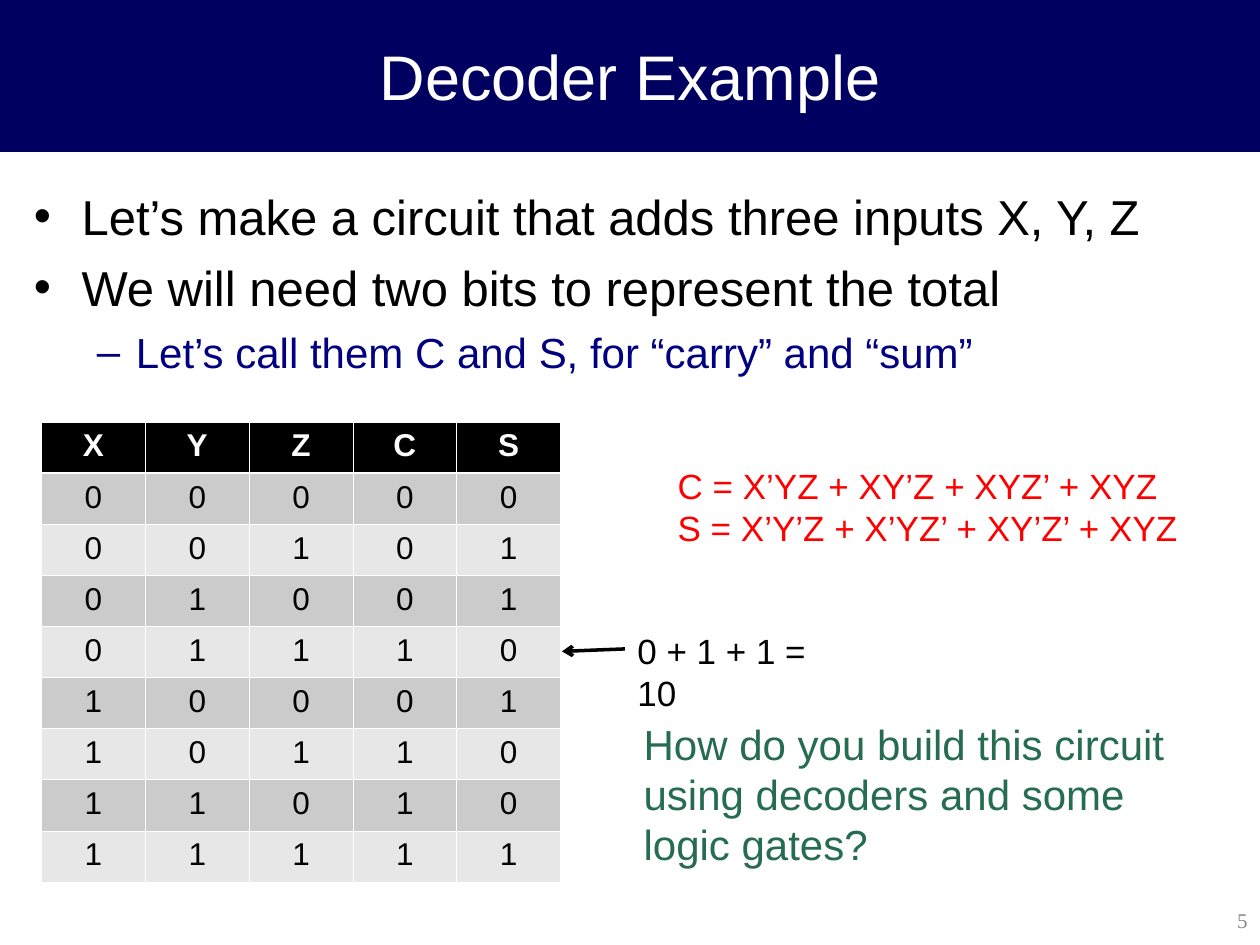
from lxml import etree
from pptx import Presentation
from pptx.dml.color import RGBColor
from pptx.enum.shapes import MSO_CONNECTOR, MSO_SHAPE
from pptx.enum.text import MSO_ANCHOR, MSO_AUTO_SIZE, PP_ALIGN
from pptx.oxml.ns import qn
from pptx.util import Inches, Pt

RECTANGLE, STRAIGHT = MSO_SHAPE.RECTANGLE, MSO_CONNECTOR.STRAIGHT
LEFT, CENTER, RIGHT = PP_ALIGN.LEFT, PP_ALIGN.CENTER, PP_ALIGN.RIGHT
TOP, MIDDLE = MSO_ANCHOR.TOP, MSO_ANCHOR.MIDDLE
FIT_SHAPE, NO_FIT = MSO_AUTO_SIZE.SHAPE_TO_FIT_TEXT, MSO_AUTO_SIZE.NONE

BAND_BLUE = RGBColor(0x00, 0x00, 0x60)
NAVY = RGBColor(0x00, 0x00, 0x80)
BLACK = RGBColor(0x00, 0x00, 0x00)
WHITE = RGBColor(0xFF, 0xFF, 0xFF)
RED = RGBColor(0xFF, 0x00, 0x00)
GREEN = RGBColor(0x26, 0x6C, 0x50)
GRAY = RGBColor(0x89, 0x89, 0x89)
DARK_ROW = RGBColor(0xCB, 0xCB, 0xCB)
LIGHT_ROW = RGBColor(0xE7, 0xE7, 0xE7)

presentation = Presentation()
presentation.slide_width = Inches(10)
presentation.slide_height = Inches(7.5)
slide = presentation.slides.add_slide(presentation.slide_layouts[5])
BAND_HEIGHT = int(presentation.slide_height * 0.16)


def format_paragraph(paragraph, size, color, align=LEFT, name="Arial", bold=False):
    paragraph.alignment = align
    font_values = {"size": Pt(size), "name": name, "bold": bold}
    for attribute, value in font_values.items():
        setattr(paragraph.font, attribute, value)
    paragraph.font.color.rgb = color


def add_text(shapes, box, lines, size, color, wrap=True, fit=FIT_SHAPE,
             anchor=TOP, **paragraph_format):
    frame = shapes.add_textbox(*map(Inches, box)).text_frame
    frame.text = "\n".join(lines)
    frame_values = {"word_wrap": wrap, "auto_size": fit, "vertical_anchor": anchor}
    for attribute, value in frame_values.items():
        setattr(frame, attribute, value)
    for paragraph in frame.paragraphs:
        format_paragraph(paragraph, size, color, **paragraph_format)
    return frame


# Title on its band
title = slide.shapes.title
band = slide.shapes.add_shape(RECTANGLE, 0, 0, presentation.slide_width, BAND_HEIGHT)
band.shadow.inherit = False
band.fill.solid()
band.fill.fore_color.rgb = BAND_BLUE
band.line.color.rgb = BAND_BLUE
band.line.width = Pt(0.75)
title._element.addprevious(band._element)

title.left, title.top = 0, 0
title.width, title.height = presentation.slide_width, BAND_HEIGHT
title.text_frame.text = "Decoder Example"
title.text_frame.vertical_anchor = MIDDLE
format_paragraph(title.text_frame.paragraphs[0], 36, WHITE, CENTER)

# Bulleted points: text, level, bullet, indent, hanging, space before, size, color
points = [
    ("Let’s make a circuit that adds three inputs X, Y, Z", 0, "•", 0.38, 0.38, 0, 28, BLACK),
    ("We will need two bits to represent the total", 0, "•", 0.38, 0.38, 7, 28, BLACK),
    ("Let’s call them C and S, for “carry” and “sum”", 1, "–", 0.81, 0.31, 6, 24, NAVY),
]
body = add_text(slide.shapes, (0.17, 1.38, 9.66, 5.72), [point[0] for point in points],
                28, BLACK, fit=NO_FIT)
body.margin_top = Inches(0.1)
for paragraph, point in zip(body.paragraphs, points):
    _, level, bullet, indent, hanging, space, size, color = point
    paragraph.level = level
    paragraph.space_before = Pt(space)
    properties = paragraph._p.get_or_add_pPr()
    properties.set("marL", str(Inches(indent)))
    properties.set("indent", str(-Inches(hanging)))
    default_run = properties.find(qn("a:defRPr"))
    bullet_font = etree.Element(qn("a:buFont"), typeface="Arial")
    bullet_char = etree.Element(qn("a:buChar"), char=bullet)
    default_run.addprevious(bullet_font)
    default_run.addprevious(bullet_char)
    format_paragraph(paragraph, size, color)

add_text(slide.shapes, (7.88, 7.1, 2.12, 0.4), ["5"], 12, GRAY, fit=NO_FIT,
         anchor=MIDDLE, align=RIGHT, name="Times New Roman")

# Truth table: C and S are the two bits of X + Y + Z
truth_rows = [["X", "Y", "Z", "C", "S"]]
for number in range(8):
    inputs = [number >> 2 & 1, number >> 1 & 1, number & 1]
    truth_rows.append([*inputs, sum(inputs) // 2, sum(inputs) % 2])

table = slide.shapes.add_table(len(truth_rows), 5, Inches(0.33), Inches(3.35),
                               Inches(4.12), Inches(3.65)).table
for row_index, row in enumerate(truth_rows):
    is_header = row_index == 0
    fill = BLACK if is_header else DARK_ROW if row_index % 2 else LIGHT_ROW
    border_widths = {"lnL": 0.45, "lnR": 0.45,
                     "lnT": 1.47 if row_index == 1 else 0.45,
                     "lnB": 1.47 if is_header else 0.45}
    for column_index, value in enumerate(row):
        cell = table.cell(row_index, column_index)
        cell.text = str(value)
        format_paragraph(cell.text_frame.paragraphs[0], 18,
                         WHITE if is_header else BLACK, CENTER, bold=is_header)
        cell_properties = cell._tc.get_or_add_tcPr()
        for side, width in border_widths.items():
            border = etree.SubElement(cell_properties, qn(f"a:{side}"), w=str(Pt(width)))
            border_fill = etree.SubElement(border, qn("a:solidFill"))
            etree.SubElement(border_fill, qn("a:srgbClr"), val=str(WHITE))
        cell.fill.solid()
        cell.fill.fore_color.rgb = fill

# Worked row with its arrow
row_note = slide.shapes.add_group_shape()
add_text(row_note.shapes, (4.96, 4.95, 1.92, 0.44), ["0 + 1 + 1 = 10"], 20, BLACK, wrap=False)
arrow = row_note.shapes.add_connector(STRAIGHT, *map(Inches, (4.96, 5.15, 4.46, 5.17)))
arrow.line.color.rgb = BLACK
arrow.line.width = Pt(2)
etree.SubElement(arrow.line._get_or_add_ln(), qn("a:tailEnd"), type="arrow")
etree.SubElement(arrow._element.spPr, qn("a:effectLst"))

# Equations and question
add_text(slide.shapes, (5.28, 3.64, 4.19, 0.77),
         ["C = X’YZ + XY’Z + XYZ’ + XYZ", "S = X’Y’Z + X’YZ’ + XY’Z’ + XYZ"],
         20, RED, wrap=False)
add_text(slide.shapes, (5.01, 5.65, 4.39, 1.3),
         ["How do you build this circuit using decoders and some logic gates?"], 24, GREEN)

presentation.save("out.pptx")
